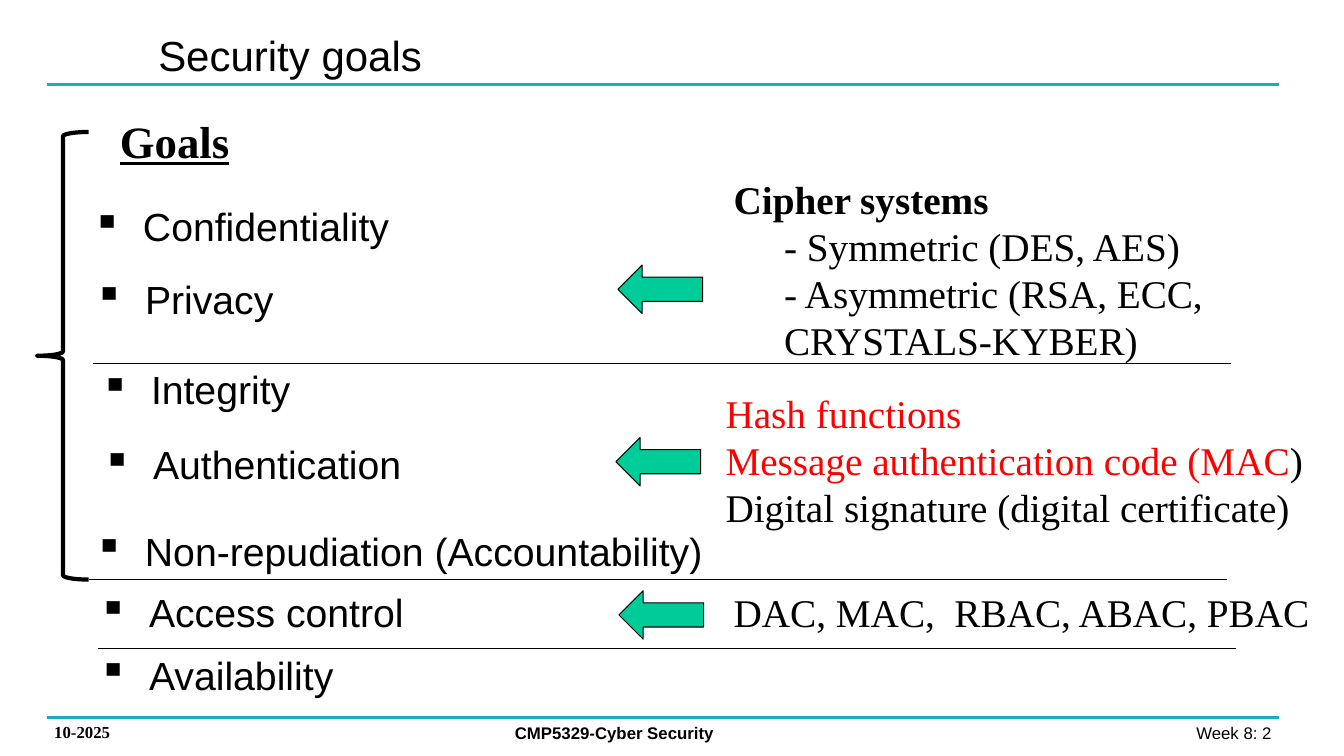
from lxml import etree
from pptx import Presentation
from pptx import util as u
from pptx.dml.color import RGBColor
from pptx.enum import shapes, text
from pptx.oxml.ns import qn

WIDTH, HEIGHT = u.Inches(13.33), u.Inches(7.5)
COLUMN, ROW = WIDTH / 160, HEIGHT / 90

BLACK = RGBColor(0x00, 0x00, 0x00)
RED = RGBColor(0xFF, 0x00, 0x00)
TEAL = RGBColor(0x16, 0xAF, 0xC2)
GREEN = RGBColor(0x00, 0xCC, 0x99)

HEADING = {"name": "Arial", "size": u.Pt(30), "bold": False}
GOAL = {"name": "Arial", "size": u.Pt(28)}
METHOD = {"name": "Times New Roman", "size": u.Pt(28)}
METHOD_HEAD = {**METHOD, "bold": True}
GOALS_LABEL = {"name": "Times New Roman", "size": u.Pt(32), "bold": True, "underline": True}
PAGE = {"name": "Arial", "size": u.Pt(12)}
COURSE = {**PAGE, "bold": True}
DATE = {**COURSE, "name": "Times New Roman"}

GOALS = [
    ("Confidentiality", 9.84, 23.52, 38.16),
    ("Privacy", 10.08, 32.16, 24),
    ("Integrity", 10.8, 42.96, 25.32),
    ("Authentication", 11.04, 51.84, 38.4),
    ("Non-repudiation (Accountability)", 10.08, 62.16, 75.96),
    ("Access control", 10.56, 69.48, 39.12),
    ("Availability", 10.56, 76.92, 30.72),
]
DIVIDERS = [(11.04, 43.32), (10.56, 69), (11.64, 77.16)]
ARROWS = [(75.72, 29.4), (75.48, 49.92), (75.84, 68.16)]
TEAL_RULES = [10.08, 85.44]
CIPHERS = [
    [("Cipher systems", METHOD_HEAD, BLACK)],
    [("- Symmetric (DES, AES)", METHOD, BLACK)],
    [("- Asymmetric (RSA, ECC, CRYSTALS-KYBER)", METHOD, BLACK)],
]
INTEGRITY_METHODS = [
    [("Hash functions", METHOD, RED)],
    [("Message authentication code (MAC", METHOD, RED), (")", METHOD, BLACK)],
    [("Digital signature (digital certificate)", METHOD, BLACK)],
]
ACCESS_MODELS = [[("DAC, MAC,  RBAC, ABAC, PBAC", METHOD, BLACK)]]


def apply(target, values):
    for key, value in values.items():
        setattr(target, key, value)


def grid(left, top, width, height):
    return [round(n) for n in (left * COLUMN, top * ROW, width * COLUMN, height * ROW)]


def write(paragraph, wording, style, color=BLACK):
    run = paragraph.add_run()
    run.text = wording
    apply(run.font, style)
    run.font.color.rgb = color


def add_text(slide, area, lines, wrap=True):
    frame = slide.shapes.add_textbox(*grid(*area)).text_frame
    frame.word_wrap = wrap
    for index, line in enumerate(lines):
        paragraph = frame.add_paragraph() if index else frame.paragraphs[0]
        for portion in line:
            write(paragraph, *portion)
    return frame.paragraphs


def indent(paragraph, margin, hanging=0):
    props = paragraph._p.get_or_add_pPr()
    props.set("marL", str(u.Inches(margin)))
    props.set("indent", str(u.Inches(-hanging)))
    return props


def add_goal(slide, wording, left, top, width):
    area = (left, top, width, 6.84)
    goal = add_text(slide, area, [[(wording, GOAL, BLACK)]], wrap=False)[0]
    bullet = etree.SubElement(indent(goal, 0.5, 0.5), qn("a:buChar"))
    bullet.set("char", "▪")


def add_rule(slide, left, row, length, color, weight):
    x, y, span, _ = grid(left, row, length, 0)
    rule = slide.shapes.add_connector(shapes.MSO_CONNECTOR.STRAIGHT, x, y, x + span, y)
    rule.line.color.rgb = color
    rule.line.width = u.Pt(weight)
    etree.SubElement(rule._element.spPr, qn("a:effectLst"))


def add_outlined(slide, kind, area, weight):
    outlined = slide.shapes.add_shape(kind, *grid(*area))
    outlined.shadow.inherit = False
    outlined.line.color.rgb = BLACK
    outlined.line.width = u.Pt(weight)
    return outlined


def add_arrow(slide, left, top):
    arrow = add_outlined(slide, shapes.MSO_SHAPE.DOWN_ARROW, (left, top, 5.76, 10.08), 0.75)
    arrow.rotation = 90
    arrow.fill.solid()
    arrow.fill.fore_color.rgb = GREEN


def add_title(slide):
    title = slide.shapes.title
    apply(title, dict(zip(("left", "top", "width", "height"), grid(17.64, 1.32, 87.36, 10.44))))
    title.text_frame.vertical_anchor = text.MSO_ANCHOR.MIDDLE
    heading = title.text_frame.paragraphs[0]
    heading.alignment = text.PP_ALIGN.LEFT
    write(heading, "Security goals", HEADING)


def add_footer(slide):
    add_text(slide, (5.28, 85.32, 21.36, 3.6), [[("10-2025", DATE, BLACK)]])
    add_text(slide, (60.12, 85.44, 49.08, 3.6), [[("CMP5329-Cyber Security", COURSE, BLACK)]])
    page = add_text(slide, (117.84, 85.44, 35.28, 3.6), [[("Week 8: 2 ", PAGE, BLACK)]])[0]
    page.alignment = text.PP_ALIGN.RIGHT


def add_methods(slide):
    for cipher in add_text(slide, (86.16, 20.28, 71.4, 23.88), CIPHERS)[1:]:
        cipher.level = 1
        indent(cipher, 0.5)
    add_text(slide, (85.2, 45.72, 75.96, 18.12), INTEGRITY_METHODS)
    add_text(slide, (86.16, 69.48, 71.64, 6.84), ACCESS_MODELS, wrap=False)


def main():
    deck = Presentation()
    apply(deck, {"slide_width": WIDTH, "slide_height": HEIGHT})
    slide = deck.slides.add_slide(deck.slide_layouts[5])
    for row in TEAL_RULES:
        add_rule(slide, 5.64, row, 146.64, TEAL, 2.25)
    add_footer(slide)
    add_title(slide)
    add_text(slide, (13.08, 12.96, 15.6, 7.68), [[("Goals", GOALS_LABEL, BLACK)]], wrap=False)
    for goal in GOALS:
        add_goal(slide, *goal)
    add_methods(slide)
    for left, row in DIVIDERS:
        add_rule(slide, left, row, 135.48, BLACK, 0.75)
    for arrow in ARROWS:
        add_arrow(slide, *arrow)
    brace = add_outlined(slide, shapes.MSO_SHAPE.LEFT_BRACE, (4.44, 15.72, 6.12, 53.28), 3)
    brace.fill.background()
    deck.save("out.pptx")


if __name__ == "__main__":
    main()
